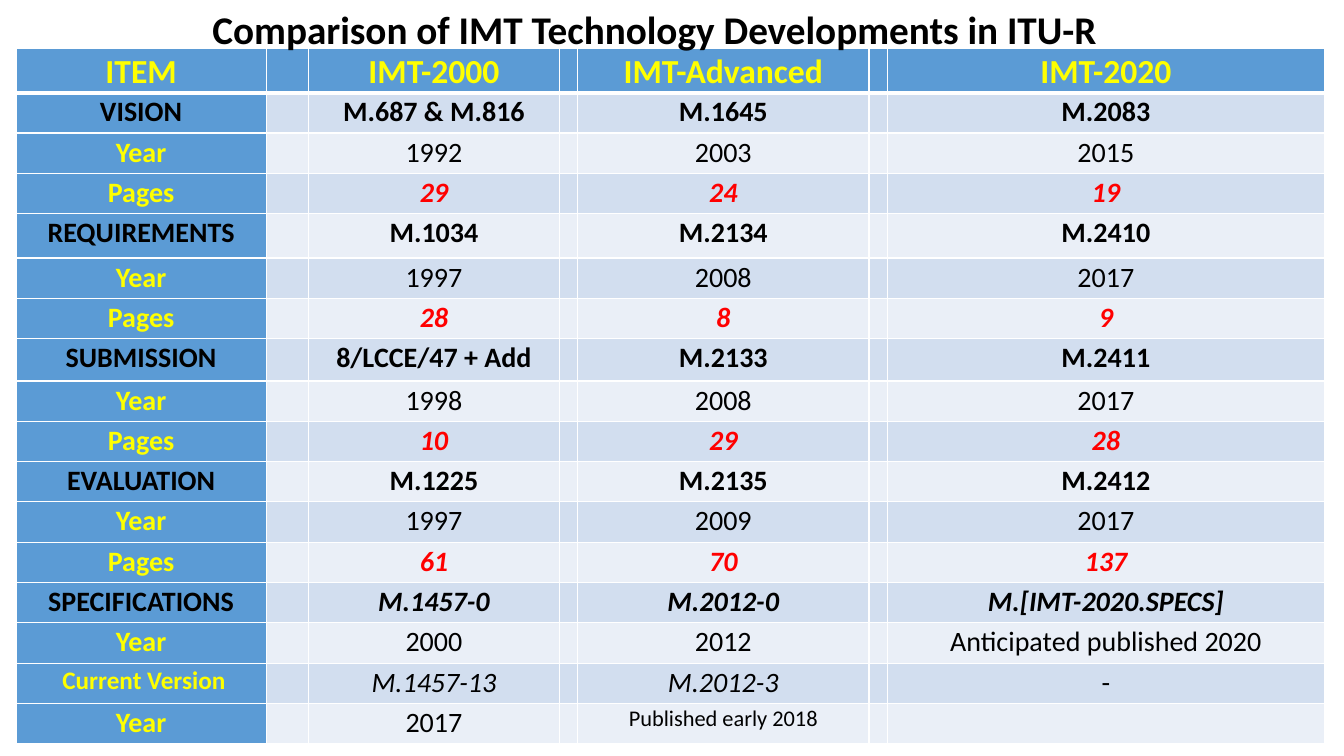
from lxml.etree import SubElement
from pptx import Presentation
from pptx.dml.color import RGBColor
from pptx.enum.text import PP_ALIGN
from pptx.oxml.ns import qn
from pptx.util import Pt

EMU_PER_PX = 9144
FONT = "Calibri"
BLACK, WHITE, YELLOW, RED = "000000", "FFFFFF", "FFFF00", "FF0000"
BLUE, BANDS = "5B9BD5", ("EAEFF7", "D2DEEF")

COLUMN_WIDTHS = (248, 42, 249, 18, 289, 18, 434)
ROW_HEIGHT = 40
SPECIAL_HEIGHTS = {"ITEM": 44, "REQUIREMENTS": 44, "SUBMISSION": 42}

LABEL_STYLES = {
    "header": (24, YELLOW, True, False),
    "topic": (20, BLACK, True, False),
    "draft": (20, BLACK, True, False),
    "year": (20, YELLOW, True, False),
    "pages": (20, YELLOW, True, False),
    "version": (18, YELLOW, True, False),
}
VALUE_STYLES = {
    "header": (24, YELLOW, True, False),
    "topic": (20, BLACK, True, False),
    "draft": (20, BLACK, True, True),
    "year": (20, BLACK, False, False),
    "pages": (20, RED, True, True),
    "version": (20, BLACK, False, True),
}
SPECIAL_STYLES = {
    "-": (20, BLACK, False, False),
    "Published early 2018": (16, BLACK, False, False),
}
ROWS = (
    ("header", "ITEM", "IMT-2000", "IMT-Advanced", "IMT-2020"),
    ("topic", "VISION", "M.687 & M.816", "M.1645", "M.2083"),
    ("year", "Year", "1992", "2003", "2015"),
    ("pages", "Pages", "29", "24", "19"),
    ("topic", "REQUIREMENTS", "M.1034", "M.2134", "M.2410"),
    ("year", "Year", "1997", "2008", "2017"),
    ("pages", "Pages", "28", "8", "9"),
    ("topic", "SUBMISSION", "8/LCCE/47 + Add", "M.2133", "M.2411"),
    ("year", "Year", "1998", "2008", "2017"),
    ("pages", "Pages", "10", "29", "28"),
    ("topic", "EVALUATION", "M.1225", "M.2135", "M.2412"),
    ("year", "Year", "1997", "2009", "2017"),
    ("pages", "Pages", "61", "70", "137"),
    ("draft", "SPECIFICATIONS", "M.1457-0", "M.2012-0", "M.[IMT-2020.SPECS]"),
    ("year", "Year", "2000", "2012", "Anticipated published 2020"),
    ("version", " Current Version", "M.1457-13", "M.2012-3", "-"),
    ("year", "Year", "2017", "Published early 2018", ""),
)


def px(length):
    """Turn whole pixels into EMU."""
    return length * EMU_PER_PX


def colour(code):
    """Return the colour of a hex string."""
    return RGBColor.from_string(code)


def write(para, text, style):
    """Fill a centred paragraph with text in one style."""
    size, code, bold, italic = style
    para.text = text
    para.alignment = PP_ALIGN.CENTER
    font = para.font
    font.name, font.size, font.bold, font.italic = FONT, Pt(size), bold, italic
    font.color.rgb = colour(code)


def set_borders(cell, bottom, top):
    """Draw white borders on the four sides of a cell."""
    properties = cell._tc.get_or_add_tcPr()
    for side, width in (("L", 1), ("R", 1), ("T", top), ("B", bottom)):
        line = SubElement(properties, qn(f"a:ln{side}"), w=str(Pt(width)))
        fill = SubElement(line, qn("a:solidFill"))
        SubElement(fill, qn("a:srgbClr"), val=WHITE)


def add_title(page, text):
    """Add the title across the top of the page."""
    box = page.shapes.add_textbox(px(120), 0, px(1058), px(57))
    box.text_frame.word_wrap = True
    write(box.text_frame.paragraphs[0], text, (28, BLACK, True, False))


def fill_cell(cell, text, style, fill):
    """Set the margins, fill and text of a cell."""
    cell.margin_left = cell.margin_right = px(7)
    cell.margin_top = cell.margin_bottom = 0
    cell.fill.solid()
    cell.fill.fore_color.rgb = colour(fill)
    para = cell.text_frame.paragraphs[0]
    if text:
        write(para, text, style)
        para.line_spacing = 1.07


def add_comparison(page):
    """Add the comparison table with narrow spacer columns."""
    heights = [SPECIAL_HEIGHTS.get(row[1], ROW_HEIGHT) for row in ROWS]
    table = page.shapes.add_table(
        len(ROWS), len(COLUMN_WIDTHS), px(16), px(48),
        px(sum(COLUMN_WIDTHS)), px(sum(heights)),
    ).table
    for column, width in zip(table.columns, COLUMN_WIDTHS):
        column.width = px(width)
    for index, (kind, *texts) in enumerate(ROWS):
        table.rows[index].height = px(heights[index])
        for place in range(len(COLUMN_WIDTHS)):
            cell = table.cell(index, place)
            text = "" if place % 2 else texts[place // 2]
            styles = VALUE_STYLES if place else LABEL_STYLES
            style = SPECIAL_STYLES.get(text, styles[kind])
            fill = BLUE if index == 0 or place == 0 else BANDS[index % 2]
            set_borders(cell, 3 if index == 0 else 1, 3 if index == 1 else 1)
            fill_cell(cell, text, style, fill)


def main():
    """Build the slide and save it."""
    deck = Presentation()
    deck.slide_width, deck.slide_height = px(1333), px(750)
    page = deck.slides.add_slide(deck.slide_layouts[6])
    add_comparison(page)
    add_title(page, "Comparison of IMT Technology Developments in ITU-R")
    deck.save("out.pptx")


if __name__ == "__main__":
    main()
